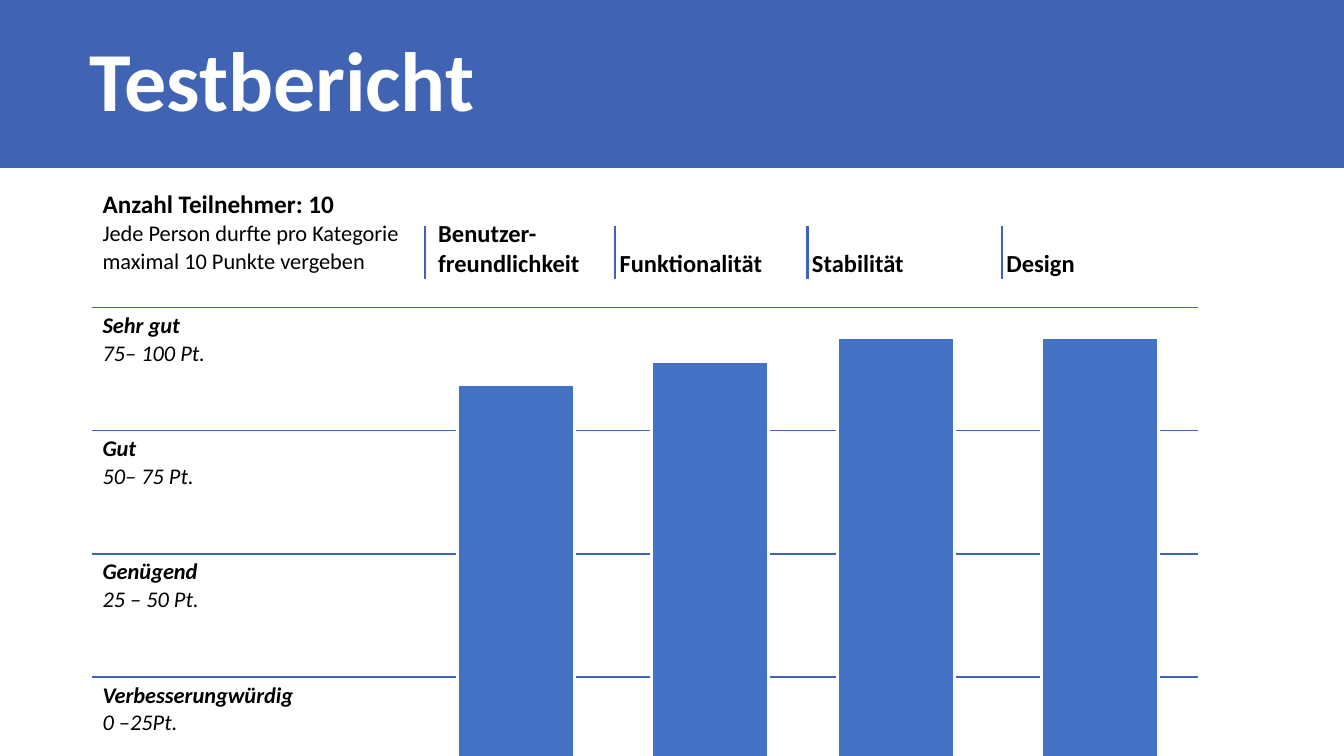
from dataclasses import dataclass
from typing import Any

import lxml.etree
import pptx
import pptx.dml.color
import pptx.enum.shapes
import pptx.enum.text
import pptx.oxml
import pptx.oxml.ns
import pptx.util

Cm = pptx.util.Cm
Pt = pptx.util.Pt
Color = pptx.dml.color.RGBColor
Anchor = pptx.enum.text.MSO_ANCHOR


@dataclass(frozen=True)
class Theme:
    """Colours, font and type sizes of the slide."""
    blue: Color = Color.from_string("4063B4")
    bar: Color = Color.from_string("4472C4")
    white: Color = Color.from_string("FFFFFF")
    black: Color = Color.from_string("000000")
    font: str = "Calibri"
    title: float = 60
    lead: float = 18
    header: float = 17.5
    body: float = 16
    rule: float = 1.5
    outline: float = 2.25


THEME = Theme()


@dataclass(frozen=True)
class Line:
    """One paragraph with its type style."""
    text: str
    size: float = THEME.body
    bold: bool = False
    italic: bool = False
    color: Color = THEME.black


@dataclass(frozen=True)
class Category:
    """A rated category: heading, divider position and bar corner in cm."""
    heading: str
    width: float
    divider: float
    bar_left: float
    bar_top: float


@dataclass(frozen=True)
class Grade:
    """A grade band with its range of points."""
    name: str
    points: str


CATEGORIES = [
    Category("Benutzer-freundlichkeit", 4.57, 10.72, 11.53, 9.68),
    Category("Funktionalität", 4.85, 15.49, 16.41, 9.12),
    Category("Stabilität", 4.9, 20.35, 21.11, 8.51),
    Category("Design", 5.08, 25.25, 26.24, 8.51),
]
GRADES = [
    Grade("Sehr gut", "75– 100 Pt."),
    Grade("Gut", "50– 75 Pt."),
    Grade("Genügend", "25 – 50 Pt."),
    Grade("Verbesserungwürdig", "0 –25Pt."),
]
INTRO = [
    Line("Anzahl Teilnehmer: 10", THEME.lead, bold=True),
    Line("Jede Person durfte pro Kategorie"),
    Line("maximal 10 Punkte vergeben"),
]
LABEL_WIDTH = 8.46
ROW_HEIGHT = 3.1
BAR_SIZE = (2.95, 13.06)
DIVIDER_TOP, DIVIDER_BOTTOM = 5.69, 7.02


def apply(target: Any, values: dict[str, Any]) -> None:
    """Set attributes of an object from a dict."""
    for name, value in values.items():
        setattr(target, name, value)


def write(frame: Any, lines: list[Line]) -> None:
    """Fill a text frame with one paragraph per line."""
    for index, line in enumerate(lines):
        para = frame.paragraphs[0] if index == 0 else frame.add_paragraph()
        span = para.add_run()
        span.text = line.text
        apply(span.font, {"name": THEME.font, "size": Pt(line.size),
                          "bold": line.bold, "italic": line.italic})
        span.font.color.rgb = line.color


def add_box(page: Any, left: float, top: float, width: float, height: float,
            fill: Color, outline: float = 0) -> None:
    """Draw a flat rectangle, with a white outline if one is given."""
    box = page.shapes.add_shape(pptx.enum.shapes.MSO_SHAPE.RECTANGLE,
                                Cm(left), Cm(top), Cm(width), Cm(height))
    box.shadow.inherit = False
    box.fill.solid()
    box.fill.fore_color.rgb = fill
    if outline:
        box.line.color.rgb = THEME.white
        box.line.width = Pt(outline)
    else:
        box.line.fill.background()


def add_divider(page: Any, left: float) -> None:
    """Draw the vertical line beside a category heading."""
    divider = page.shapes.add_connector(
        pptx.enum.shapes.MSO_CONNECTOR.STRAIGHT,
        Cm(left), Cm(DIVIDER_TOP), Cm(left), Cm(DIVIDER_BOTTOM))
    divider.line.color.rgb = THEME.blue
    divider.line.width = Pt(THEME.rule)
    lxml.etree.SubElement(divider._element.spPr, pptx.oxml.ns.qn("a:effectLst"))


def style_cell(cell: Any, has_top: bool) -> None:
    """Clear the fill and keep only the horizontal rules of a cell."""
    properties = cell._tc.get_or_add_tcPr()
    for side, shown in (("L", False), ("R", False), ("T", has_top), ("B", True)):
        paint = (f'<a:solidFill><a:srgbClr val="{THEME.blue}"/></a:solidFill>'
                 if shown else "<a:noFill/>")
        properties.append(pptx.oxml.parse_xml(
            f'<a:ln{side} {pptx.oxml.ns.nsdecls("a")} w="{Pt(THEME.rule)}">'
            f"{paint}</a:ln{side}>"))
    cell.fill.background()


def add_ratings(page: Any) -> None:
    """Build the table of grades and category headings."""
    widths = [LABEL_WIDTH] + [category.width for category in CATEGORIES]
    row_count = len(GRADES) + 1
    table = page.shapes.add_table(
        row_count, len(widths), Cm(2.33), Cm(4.65),
        Cm(sum(widths)), Cm(ROW_HEIGHT * row_count)).table
    apply(table, {"first_row": False, "horz_banding": False})
    for column, width in zip(table.columns, widths):
        column.width = Cm(width)
    for index, row in enumerate(table.rows):
        row.height = Cm(ROW_HEIGHT)
        for cell in row.cells:
            style_cell(cell, has_top=index > 0)
    write(table.cell(0, 0).text_frame, INTRO)
    for column, category in enumerate(CATEGORIES, start=1):
        cell = table.cell(0, column)
        apply(cell, {"vertical_anchor": Anchor.BOTTOM, "margin_bottom": Cm(0.71)})
        write(cell.text_frame, [Line(category.heading, THEME.header, bold=True)])
    for row, grade in enumerate(GRADES, start=1):
        write(table.cell(row, 0).text_frame,
              [Line(grade.name, bold=True, italic=True),
               Line(grade.points, italic=True)])


def add_title(page: Any, text: str) -> None:
    """Place and format the title placeholder."""
    title = page.shapes.title
    apply(title, {"left": Cm(2.01), "top": Cm(0.38),
                  "width": Cm(29.92), "height": Cm(3.51)})
    apply(title.text_frame, {"vertical_anchor": Anchor.MIDDLE, "word_wrap": True,
                             "auto_size": pptx.enum.text.MSO_AUTO_SIZE.NONE})
    write(title.text_frame, [Line(text, THEME.title, True, color=THEME.white)])
    apply(title.text_frame.paragraphs[0],
          {"alignment": pptx.enum.text.PP_ALIGN.LEFT, "line_spacing": 0.9})


def main() -> None:
    """Build the slide and save it."""
    deck = pptx.Presentation()
    apply(deck, {"slide_width": Cm(33.87), "slide_height": Cm(19.05)})
    page = deck.slides.add_slide(deck.slide_layouts[5])
    page.background.fill.solid()
    page.background.fill.fore_color.rgb = THEME.blue
    add_title(page, "Testbericht")
    add_box(page, -0.13, 4.24, 34.27, 15.47, THEME.white)
    add_ratings(page)
    for category in CATEGORIES:
        add_box(page, category.bar_left, category.bar_top, *BAR_SIZE,
                THEME.bar, THEME.outline)
        add_divider(page, category.divider)
    deck.save("out.pptx")


main()
